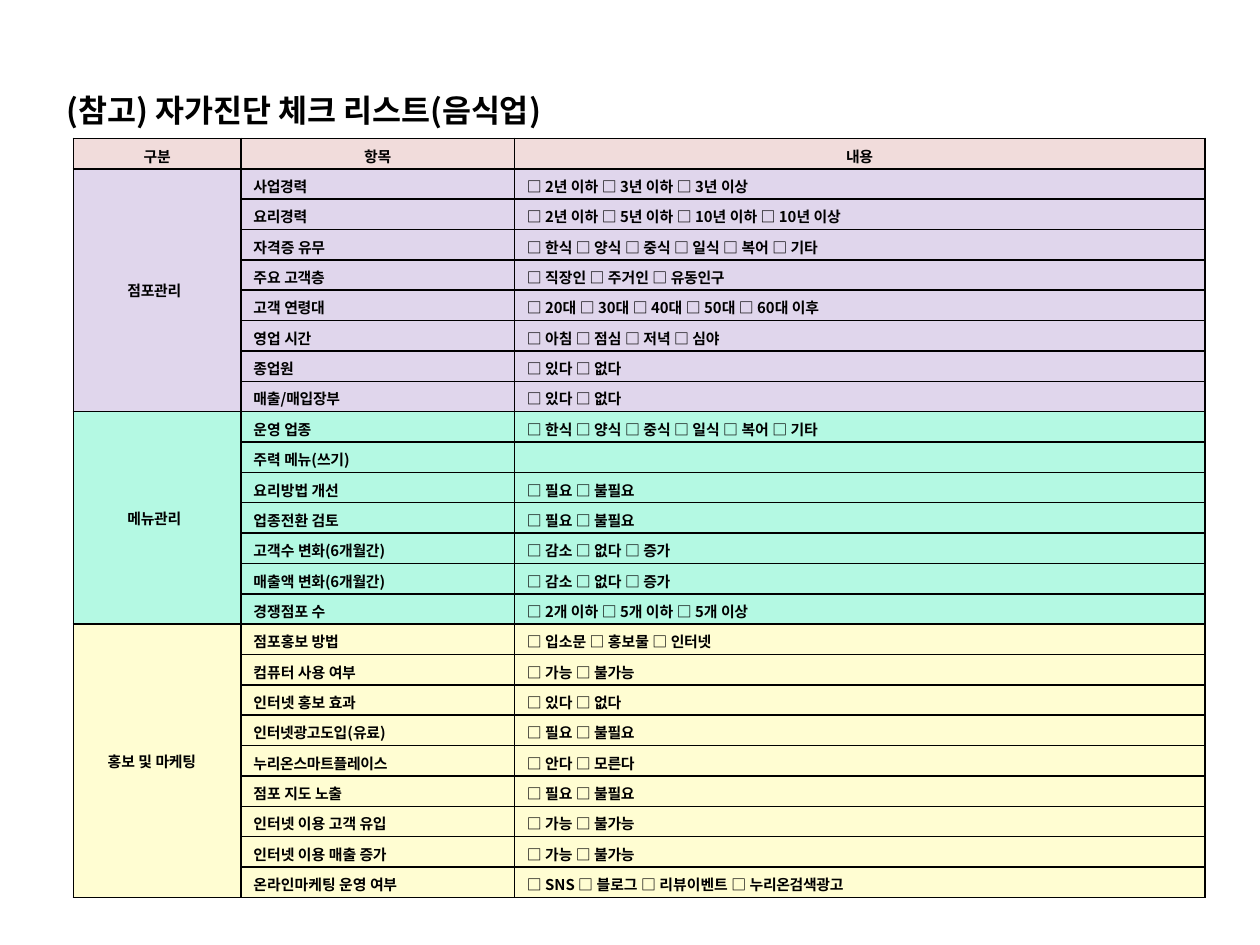
import dataclasses

import lxml.etree
import pptx
import pptx.dml.color
import pptx.enum.text
import pptx.oxml.ns
import pptx.util
from pptx.util import Cm, Pt


@dataclasses.dataclass(frozen=True)
class Theme:
    font: str = "Noto Sans CJK KR"
    ink: str = "000000"
    header: str = "F1DCDB"
    store: str = "E0D6EC"
    menu: str = "B4F9E3"
    promotion: str = "FFFDD2"
    title_size: float = 18
    body_size: float = 8.5
    border: float = 1


THEME = Theme()
TITLE = "(참고) 자가진단 체크 리스트(음식업)"
HEADINGS = ["구분", "항목", "내용"]
COLUMN_WIDTHS = [3.38, 5.51, 13.92]
TABLE_HEIGHT = 15.32

CUISINES = "□ 한식 □ 양식 □ 중식 □ 일식 □ 복어 □ 기타"
EXISTS = "□ 있다 □ 없다"
NEEDED = "□ 필요 □ 불필요"
POSSIBLE = "□ 가능 □ 불가능"
CHANGE = "□ 감소 □ 없다 □ 증가"

# Each group: name, indent in cm, colour, rows of item and choices
GROUPS = [
    ("점포관리", 1.09, THEME.store, [
        ("사업경력", "□ 2년 이하 □ 3년 이하 □ 3년 이상"),
        ("요리경력", "□ 2년 이하 □ 5년 이하 □ 10년 이하 □ 10년 이상"),
        ("자격증 유무", CUISINES),
        ("주요 고객층", "□ 직장인 □ 주거인 □ 유동인구"),
        ("고객 연령대", "□ 20대 □ 30대 □ 40대 □ 50대 □ 60대 이후"),
        ("영업 시간", "□ 아침 □ 점심 □ 저녁 □ 심야"),
        ("종업원", EXISTS),
        ("매출/매입장부", EXISTS),
    ]),
    ("메뉴관리", 1.09, THEME.menu, [
        ("운영 업종", CUISINES),
        ("주력 메뉴(쓰기)", ""),
        ("요리방법 개선", NEEDED),
        ("업종전환 검토", NEEDED),
        ("고객수 변화(6개월간)", CHANGE),
        ("매출액 변화(6개월간)", CHANGE),
        ("경쟁점포 수", "□ 2개 이하 □ 5개 이하 □ 5개 이상"),
    ]),
    ("홍보 및 마케팅", 0.69, THEME.promotion, [
        ("점포홍보 방법", "□ 입소문 □ 홍보물 □ 인터넷"),
        ("컴퓨터 사용 여부", POSSIBLE),
        ("인터넷 홍보 효과", EXISTS),
        ("인터넷광고도입(유료)", NEEDED),
        ("누리온스마트플레이스", "□ 안다 □ 모른다"),
        ("점포 지도 노출", NEEDED),
        ("인터넷 이용 고객 유입", POSSIBLE),
        ("인터넷 이용 매출 증가", POSSIBLE),
        ("온라인마케팅 운영 여부", "□ SNS □ 블로그 □ 리뷰이벤트 □ 누리온검색광고"),
    ]),
]


def add_xml(parent, tag, **attributes):
    return lxml.etree.SubElement(parent, pptx.oxml.ns.qn(tag), **attributes)


class ChecklistPage:
    def __init__(self, page, theme):
        self.page = page
        self.theme = theme

    def line(self, para, text, size, tightness, indent=0):
        """Set one line of text whose last word is slightly tighter."""
        para._p.get_or_add_pPr().set("marL", str(Cm(indent)))
        if not text:
            add_xml(para._p, "a:endParaRPr", sz=str(int(size * 100)))
            return
        lead, gap, last_word = text.rpartition(" ")
        para.text = lead + gap or last_word
        if lead:
            para.add_run().text = last_word
        for span in para.runs:
            span.font.size = Pt(size)
            span.font.bold = True
            span.font.color.rgb = pptx.dml.color.RGBColor.from_string(self.theme.ink)
            span.font.name = self.theme.font
            add_xml(span._r.get_or_add_rPr(), "a:ea", typeface=self.theme.font)
        para.runs[-1]._r.get_or_add_rPr().set("spc", str(int(tightness * 100)))

    def title(self, text, left, top, width, height):
        box = self.page.shapes.add_textbox(Cm(left), Cm(top), Cm(width), Cm(height))
        frame = box.text_frame
        frame.word_wrap = True
        frame.auto_size = pptx.enum.text.MSO_AUTO_SIZE.SHAPE_TO_FIT_TEXT
        frame.margin_left = frame.margin_right = frame.margin_bottom = 0
        frame.margin_top = Cm(0.03)
        self.line(frame.paragraphs[0], text, self.theme.title_size, -0.1, 0.03)

    def table(self, left, top, widths, height, row_count):
        frame = self.page.shapes.add_table(
            row_count, len(widths), Cm(left), Cm(top), Cm(sum(widths)), Cm(height))
        table = frame.table
        table.first_row = table.horz_banding = False
        for column, width in zip(table.columns, widths):
            column.width = Cm(width)
        for row in table.rows:
            row.height = Cm(height / row_count)
        return table

    def cell(self, cell, text, color, indent=0.25, centered=False, middle=False):
        cell.margin_left = cell.margin_right = cell.margin_bottom = 0
        cell.margin_top = 0 if middle else Cm(0.13)
        if middle:
            cell.vertical_anchor = pptx.enum.text.MSO_ANCHOR.MIDDLE
        para = cell.text_frame.paragraphs[0]
        if centered:
            para.alignment = pptx.enum.text.PP_ALIGN.CENTER
        self.line(para, text, self.theme.body_size, -0.2, indent)
        cell.fill.solid()
        cell.fill.fore_color.rgb = pptx.dml.color.RGBColor.from_string(color)
        self.borders(cell)

    def borders(self, cell):
        properties = cell._tc.get_or_add_tcPr()
        for order, side in enumerate(["a:lnL", "a:lnR", "a:lnT", "a:lnB"]):
            border = add_xml(properties, side, w=str(Pt(self.theme.border)))
            add_xml(add_xml(border, "a:solidFill"), "a:srgbClr", val=self.theme.ink)
            properties.insert(order, border)


def main():
    deck = pptx.Presentation()
    deck.slide_width, deck.slide_height = Cm(25.4), Cm(19.05)
    page = deck.slides.add_slide(deck.slide_layouts[6])
    builder = ChecklistPage(page, THEME)

    # Title
    builder.title(TITLE, 1.32, 1.8, 10.54, 0.84)

    # Table and heading row
    row_count = 1 + sum(len(items) for *_, items in GROUPS)
    table = builder.table(1.48, 2.79, COLUMN_WIDTHS, TABLE_HEIGHT, row_count)
    for column, heading in enumerate(HEADINGS):
        builder.cell(table.cell(0, column), heading, THEME.header, indent=0, centered=True)

    # Groups of checklist rows
    first = 1
    for name, indent, color, items in GROUPS:
        last = first + len(items) - 1
        for row, (item, choices) in enumerate(items, first):
            label = name if row == first else ""
            builder.cell(table.cell(row, 0), label, color, indent, middle=True)
            builder.cell(table.cell(row, 1), item, color)
            builder.cell(table.cell(row, 2), choices, color)
        table.cell(first, 0).merge(table.cell(last, 0))
        first = last + 1

    deck.save("out.pptx")


if __name__ == "__main__":
    main()
